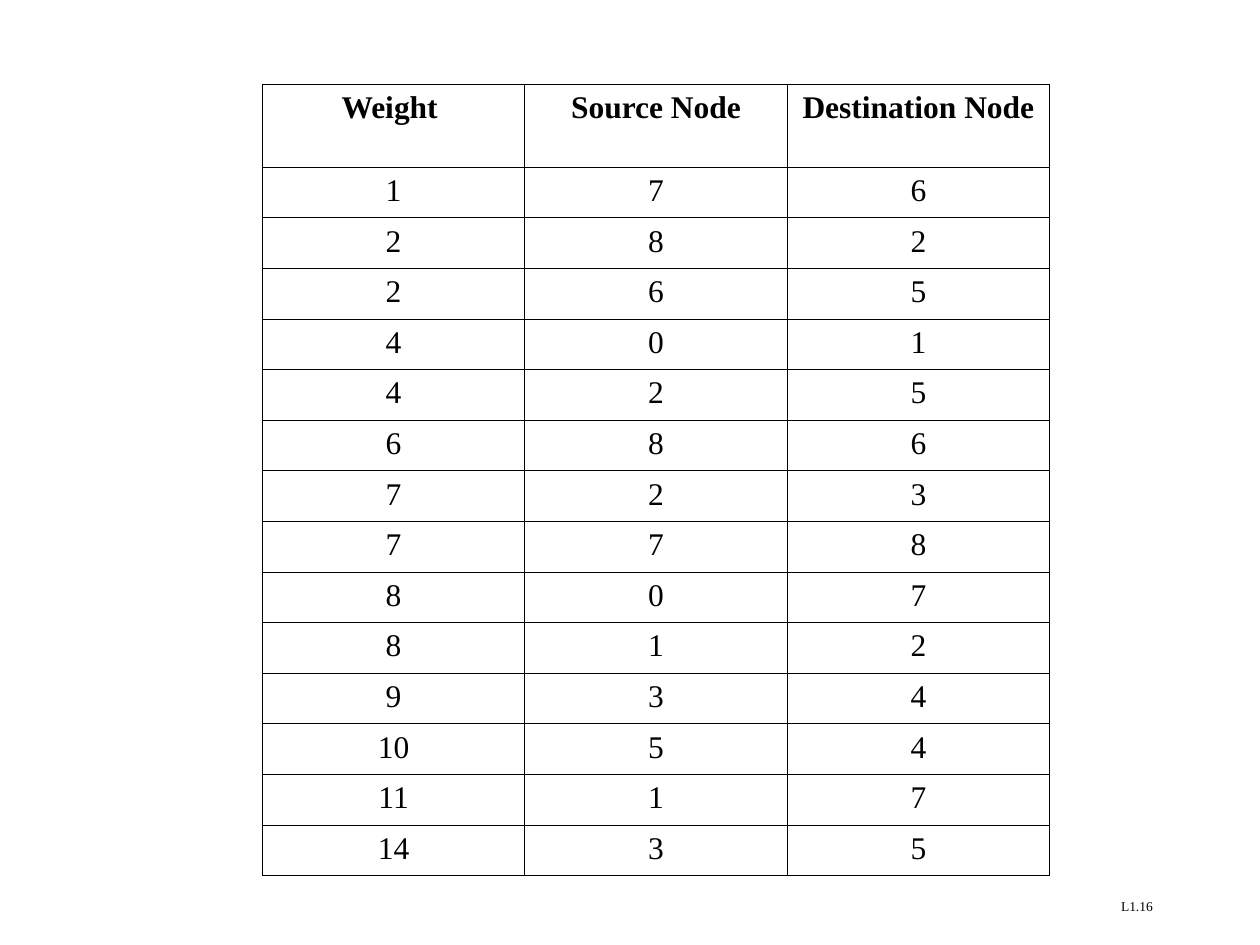
from lxml.etree import SubElement
from pptx import Presentation
from pptx.dml.color import RGBColor
from pptx.enum.text import PP_ALIGN
from pptx.oxml.ns import qn
from pptx.util import Cm, Pt

HEADINGS = ("Weight ", "Source Node", "Destination Node")
EDGES = [
    (1, 7, 6),
    (2, 8, 2),
    (2, 6, 5),
    (4, 0, 1),
    (4, 2, 5),
    (6, 8, 6),
    (7, 2, 3),
    (7, 7, 8),
    (8, 0, 7),
    (8, 1, 2),
    (9, 3, 4),
    (10, 5, 4),
    (11, 1, 7),
    (14, 3, 5),
]
PAGE_NUMBER = "L1.16"
FONT = "Times New Roman"
BLACK = "000000"
BORDER_WIDTH = Pt(0.45)
COLUMN_WIDTH = 5.29
HEADER_HEIGHT = 1.67
ROW_HEIGHT = 1.02


def color(value):
    return RGBColor.from_string(value)


def write(frame, text, size=18, bold=False, align=PP_ALIGN.CENTER):
    frame.word_wrap = True
    para = frame.paragraphs[0]
    para.alignment = align
    span = para.add_run()
    span.text = text
    span.font.name = FONT
    span.font.size = Pt(size)
    span.font.bold = bold
    span.font.color.rgb = color(BLACK)


def add_borders(cell):
    properties = cell._tc.get_or_add_tcPr()
    for side in ("lnL", "lnR", "lnT", "lnB"):
        line = SubElement(properties, qn(f"a:{side}"), w=str(BORDER_WIDTH))
        fill = SubElement(line, qn("a:solidFill"))
        SubElement(fill, qn("a:srgbClr"), val=BLACK)


def add_edge_table(page):
    rows = [HEADINGS, *EDGES]
    width = COLUMN_WIDTH * len(HEADINGS)
    height = HEADER_HEIGHT + ROW_HEIGHT * len(EDGES)
    table = page.shapes.add_table(
        len(rows), len(HEADINGS), Cm(5.29), Cm(1.7), Cm(width), Cm(height)
    ).table
    table.horz_banding = False
    for column in table.columns:
        column.width = Cm(COLUMN_WIDTH)
    for index, values in enumerate(rows):
        is_header = index == 0
        table.rows[index].height = Cm(HEADER_HEIGHT if is_header else ROW_HEIGHT)
        for cell, value in zip(table.rows[index].cells, values):
            write(cell.text_frame, str(value), bold=is_header)
            add_borders(cell)
            cell.fill.background()


def main():
    deck = Presentation()
    deck.slide_width, deck.slide_height = Cm(25.4), Cm(19.05)
    page = deck.slides.add_slide(deck.slide_layouts[6])
    box = page.shapes.add_textbox(Cm(18.21), Cm(17.98), Cm(5.28), Cm(0.64))
    write(box.text_frame, PAGE_NUMBER, size=7.7, align=PP_ALIGN.RIGHT)
    add_edge_table(page)
    deck.save("out.pptx")


if __name__ == "__main__":
    main()
